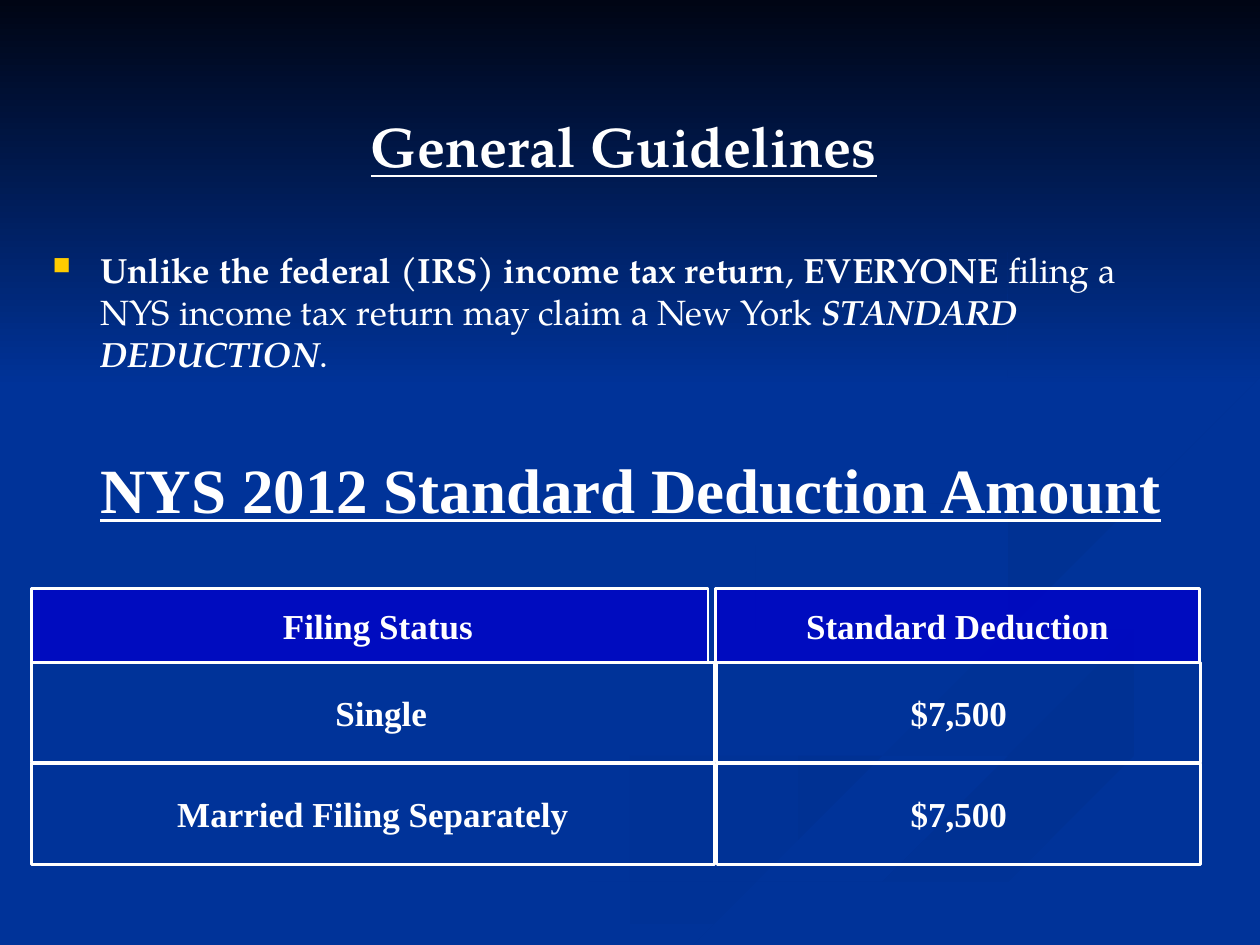
from pptx import Presentation
from pptx.dml.color import RGBColor
from pptx.enum.shapes import MSO_SHAPE
from pptx.enum.text import MSO_ANCHOR, PP_ALIGN
from pptx.oxml.ns import qn
from pptx.util import Inches, Pt
from lxml.etree import SubElement

THEME = {
    "back": "003399", "night": "000514", "swirl": "003193",
    "header": "0000CC", "text": "FFFFFF", "bullet": "FFCC00", "pale": "E5E5FF",
    "serif": "Times New Roman", "book": "TeX Gyre Pagella",
    "heading": 36, "title": 32, "spacer": 44, "body": 20, "border": 1.5,
}
WIDTH, HEIGHT = 10, 7.5

# Content: runs are (text, style)
B = {"bold": True}
TITLE = [(" ", {"size": THEME["spacer"], "color": THEME["pale"]}),
         ("General Guidelines", {"size": THEME["title"], "bold": True, "underline": True})]
BODY = [("Unlike the federal (IRS) income tax return", B), (", ", {}), ("EVERYONE ", B),
        ("filing a NYS income tax return may claim a New York ", {}),
        ("STANDARD DEDUCTION", {"bold": True, "italic": True}), (".", {})]
HEADING = [("NYS 2012 Standard Deduction Amount",
            {"size": THEME["heading"], "bold": True, "underline": True, "font": THEME["serif"]})]
ROWS = [("Filing Status", "Standard Deduction"),
        ("Single", "$7,500"),
        ("Married Filing Separately", "$7,500")]
INDENTED = {"Filing Status", "Single"}

# Table geometry: (top, height) per row, (left, width) per column
ROW_BANDS = [(4.67, 0.59), (5.26, 0.79), (6.06, 0.8)]
HEADER_COLS = [(0.25, 5.37), (5.68, 3.84)]
BODY_COLS = [(0.25, 5.42), (5.69, 3.84)]

# Background ribbons: (start colour, end colour, clockwise angle, key points)
SWIRLS = [
    ("back", "swirl", 0, [
        (7.81, 5.53), (6.82, 5.19), (5.75, 4.59), (6.11, 4.99), (7.41, 5.39),
        (7.8, 5.79), (5.39, 6.49), (3, 7.49), (3.61, 7.49), (5.64, 6.65), (7.8, 6.05)]),
    ("back", "swirl", 45, [
        (9.43, 5.7), (8.88, 5.35), (7.74, 5.03), (7.24, 4.64), (7.66, 5.12),
        (8.8, 5.49), (9.18, 5.81), (8.94, 6.05)]),
    ("swirl", "back", 90, [
        (5.03, 7.49), (5.71, 7.49), (7.52, 6.72), (9.98, 6.09), (9.98, 5.81), (7.64, 6.47)]),
    ("back", "back", 0, [
        (7.25, 4.64), (7.93, 5.09), (9.43, 5.7), (7.43, 6.43), (4.77, 7.49), (5.19, 7.47),
        (7.65, 6.47), (9.99, 5.81), (9.99, 5.38), (8.48, 5.03), (7.82, 4.6), (8.65, 4.24),
        (9.99, 4.02), (9.99, 3.87), (8.08, 4.17)]),
    ("swirl", "back", 45, [
        (7.81, 4.6), (8.26, 4.96), (8.16, 4.59), (9.98, 4.2), (9.98, 4.02), (8.65, 4.24)]),
    ("swirl", "back", 45, [
        (6.95, 4.34), (8.73, 4.06), (9.6, 3.51), (8.95, 2.85), (7.95, 2.45), (9.1, 2.95),
        (9.45, 3.61), (7.95, 4.02), (6.22, 4.3), (5.61, 4.64), (6.18, 5), (5.85, 4.63)]),
]
STEPS = 5


def rgb(color):
    return RGBColor.from_string(color)


def smooth(points):
    """Closed Catmull-Rom curve through the key points, kept on the slide."""
    curve = []
    for i, b in enumerate(points):
        a, c, d = (points[(i + k) % len(points)] for k in (-1, 1, 2))
        for t in (n / STEPS for n in range(STEPS)):
            x, y = (q + t * (r - p + t * (2*p - 5*q + 4*r - s + t * (3*q - p - 3*r + s))) / 2
                    if t else q for p, q, r, s in zip(a, b, c, d))
            curve.append((min(x, WIDTH), min(y, HEIGHT)))
    return curve


def paint_gradient(sp, start, end, angle):
    sp.shadow.inherit = False
    sp.line.fill.background()
    sp.fill.gradient()
    sp.fill.gradient_angle = (360 - angle) % 360
    for stop, name in zip(sp.fill.gradient_stops, (start, end)):
        stop.color.rgb = rgb(THEME[name])


def add_runs(p, runs):
    for text, style in runs:
        r = p.add_run()
        r.text = text
        r.font.name = style.get("font", THEME["book"])
        r.font.size = Pt(style.get("size", THEME["body"]))
        r.font.color.rgb = rgb(style.get("color", THEME["text"]))
        r.font.bold = style.get("bold", False)
        r.font.italic = style.get("italic", False)
        r.font.underline = style.get("underline", False)


def add_text(slide, box, runs, centered=True):
    tf = slide.shapes.add_textbox(*map(Inches, box)).text_frame
    tf.word_wrap = True
    p = tf.paragraphs[0]
    if centered:
        tf.vertical_anchor = MSO_ANCHOR.MIDDLE
        p.alignment = PP_ALIGN.CENTER
    add_runs(p, runs)
    return p


def add_bullet(p):
    pPr = p._p.get_or_add_pPr()
    pPr.set("marL", str(Inches(0.38)))
    pPr.set("indent", str(Inches(-0.38)))
    SubElement(SubElement(pPr, qn("a:buClr")), qn("a:srgbClr"), val=THEME["bullet"])
    SubElement(pPr, qn("a:buSzPct"), val="70000")
    SubElement(pPr, qn("a:buChar"), char="■")


def add_cell(slide, box, text, header):
    sp = slide.shapes.add_shape(MSO_SHAPE.RECTANGLE, *map(Inches, box))
    sp.shadow.inherit = False
    sp.line.color.rgb = rgb(THEME["text"])
    sp.line.width = Pt(THEME["border"])
    if header:
        sp.fill.solid()
        sp.fill.fore_color.rgb = rgb(THEME["header"])
        color = sp._element.spPr.find(qn("a:solidFill")).find(qn("a:srgbClr"))
        SubElement(color, qn("a:alpha"), val="76000")
    else:
        sp.fill.background()
    tf = sp.text_frame
    tf.word_wrap = False
    tf.vertical_anchor = MSO_ANCHOR.MIDDLE
    p = tf.paragraphs[0]
    p.alignment = PP_ALIGN.CENTER
    if text in INDENTED:
        p._p.get_or_add_pPr().set("marL", str(Inches(0.13)))
    add_runs(p, [(text, {"bold": True, "font": THEME["serif"]})])


def main():
    prs = Presentation()
    prs.slide_width, prs.slide_height = Inches(WIDTH), Inches(HEIGHT)
    slide = prs.slides.add_slide(prs.slide_layouts[6])

    # Background
    slide.background.fill.solid()
    slide.background.fill.fore_color.rgb = rgb(THEME["back"])
    sky = slide.shapes.add_shape(MSO_SHAPE.RECTANGLE, 0, 0, prs.slide_width, Inches(3.08))
    paint_gradient(sky, "night", "back", 90)
    for start, end, angle, points in SWIRLS:
        first, *rest = smooth(points)
        fb = slide.shapes.build_freeform(*first, scale=Inches(1))
        fb.add_line_segments(rest, close=True)
        paint_gradient(fb.convert_to_shape(), start, end, angle)

    # Heading and deduction table
    add_text(slide, (0.17, 3.5, 9.67, 0.75), HEADING)
    for i, (row, (top, height)) in enumerate(zip(ROWS, ROW_BANDS)):
        cols = BODY_COLS if i else HEADER_COLS
        for text, (left, width) in zip(row, cols):
            add_cell(slide, (left, top, width, height), text, header=i == 0)

    # Guideline and title
    add_bullet(add_text(slide, (0.32, 1.92, 9.25, 1), BODY, centered=False))
    add_text(slide, (0.04, 0.71, 9.67, 0.75), TITLE)

    prs.save("out.pptx")


if __name__ == "__main__":
    main()
